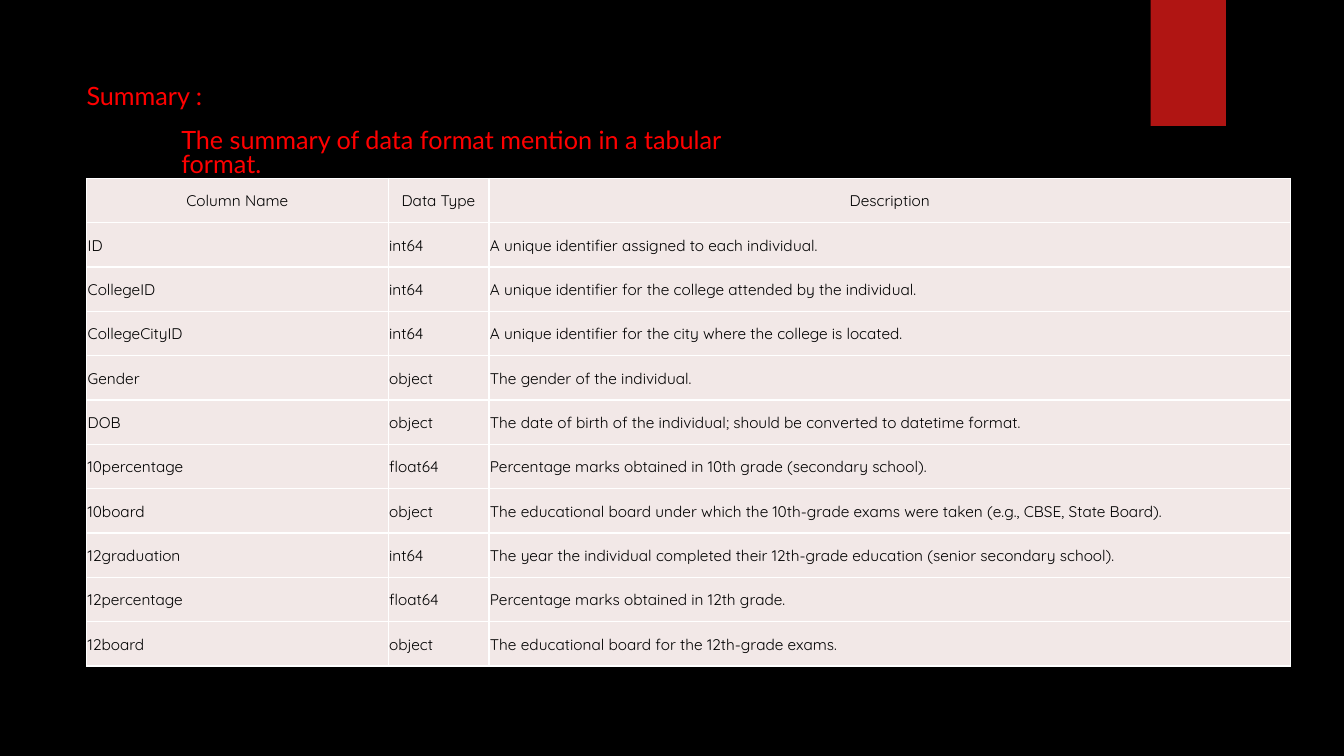
from dataclasses import dataclass
from typing import Any, NamedTuple

from lxml.etree import SubElement
from pptx import Presentation
from pptx.dml.color import RGBColor
from pptx.enum.shapes import MSO_SHAPE as Preset
from pptx.enum.text import MSO_ANCHOR as Anchor, PP_ALIGN as Align
from pptx.oxml.ns import qn
from pptx.util import Inches, Pt


@dataclass(frozen=True)
class Theme:
    background: str = "000000"
    ribbon: str = "B01513"
    heading: str = "FF0000"
    cell: str = "F2E8E7"
    cell_text: str = "000000"
    border: str = "FFFFFF"
    heading_font: str = "Lato"
    table_font: str = "Quicksand"
    heading_size: int = 18
    table_size: int = 11
    border_width: int = 1
    line_spacing: float = 0.8


class Area(NamedTuple):
    left: float
    top: float
    width: float
    height: float


class Heading(NamedTuple):
    text: str
    area: Area


class Field(NamedTuple):
    name: str
    data_type: str
    description: str


THEME = Theme()
SLIDE_WIDTH = Inches(13.33)
SLIDE_HEIGHT = Inches(7.5)

RIBBON_AREA = Area(85.62, 0, 5.6, 16.67)
TABLE_AREA = Area(6.45, 23.6, 89.57, 64.53)
COLUMN_SHARES = (22.43, 7.5, 59.64)

HEADINGS = (
    Heading("Summary :", Area(5.7, 10.67, 83.42, 3.87)),
    Heading(
        "The summary of data format mention in a tabular format.",
        Area(12.75, 16.53, 45.09, 3.87),
    ),
)

FIELDS = (
    Field("Column Name", "Data Type", "Description"),
    Field("ID", "int64", "A unique identifier assigned to each individual."),
    Field("CollegeID", "int64", "A unique identifier for the college attended by the individual."),
    Field("CollegeCityID", "int64", "A unique identifier for the city where the college is located."),
    Field("Gender", "object", "The gender of the individual."),
    Field("DOB", "object", "The date of birth of the individual; should be converted to datetime format."),
    Field("10percentage", "float64", "Percentage marks obtained in 10th grade (secondary school)."),
    Field("10board", "object", "The educational board under which the 10th-grade exams were taken (e.g., CBSE, State Board)."),
    Field("12graduation", "int64", "The year the individual completed their 12th-grade education (senior secondary school)."),
    Field("12percentage", "float64", "Percentage marks obtained in 12th grade."),
    Field("12board", "object", "The educational board for the 12th-grade exams."),
)

CELL_FORMAT = {
    "vertical_anchor": Anchor.MIDDLE,
    "margin_left": Inches(0.01),
    "margin_right": Inches(0.01),
    "margin_top": Inches(0.01),
    "margin_bottom": 0,
}
TABLE_FORMAT = {"first_row": False, "horz_banding": False}


def apply_format(target: Any, values: dict[str, Any]) -> None:
    for name, value in values.items():
        setattr(target, name, value)


def across(share: float) -> int:
    return round(SLIDE_WIDTH * share / 100)


def down(share: float) -> int:
    return round(SLIDE_HEIGHT * share / 100)


def place(area: Area) -> tuple[int, int, int, int]:
    return across(area.left), down(area.top), across(area.width), down(area.height)


def paint(fill: Any, color: str) -> None:
    fill.solid()
    fill.fore_color.rgb = RGBColor.from_string(color)


def write(paragraph: Any, text: str, font: str, size: int, color: str) -> None:
    run = paragraph.add_run()
    run.text = text
    apply_format(run.font, {"name": font, "size": Pt(size), "bold": False})
    run.font.color.rgb = RGBColor.from_string(color)


def draw_ribbon(slide: Any) -> None:
    shape = slide.shapes.add_shape(Preset.RECTANGLE, *place(RIBBON_AREA))
    shape.shadow.inherit = False
    paint(shape.fill, THEME.ribbon)
    shape.line.fill.background()


def draw_heading(slide: Any, heading: Heading) -> None:
    frame = slide.shapes.add_textbox(*place(heading.area)).text_frame
    frame.word_wrap = True
    paragraph = frame.paragraphs[0]
    paragraph.line_spacing = THEME.line_spacing
    write(paragraph, heading.text, THEME.heading_font, THEME.heading_size, THEME.heading)


def draw_borders(cell: Any) -> None:
    properties = cell._tc.get_or_add_tcPr()
    for side in ("a:lnL", "a:lnR", "a:lnT", "a:lnB"):
        line = SubElement(properties, qn(side), w=str(Pt(THEME.border_width)))
        fill = SubElement(line, qn("a:solidFill"))
        SubElement(fill, qn("a:srgbClr"), val=THEME.border)


def draw_cell(cell: Any, text: str, alignment: Align) -> None:
    apply_format(cell, CELL_FORMAT)
    draw_borders(cell)
    paint(cell.fill, THEME.cell)
    paragraph = cell.text_frame.paragraphs[0]
    paragraph.alignment = alignment
    write(paragraph, text, THEME.table_font, THEME.table_size, THEME.cell_text)


def draw_table(slide: Any) -> None:
    table = slide.shapes.add_table(len(FIELDS), len(COLUMN_SHARES), *place(TABLE_AREA)).table
    apply_format(table, TABLE_FORMAT)
    for column, share in zip(table.columns, COLUMN_SHARES):
        column.width = across(share)
    for row_index, field in enumerate(FIELDS):
        alignment = Align.LEFT if row_index else Align.CENTER
        for column_index, text in enumerate(field):
            draw_cell(table.cell(row_index, column_index), text, alignment)


def main() -> None:
    presentation = Presentation()
    apply_format(presentation, {"slide_width": SLIDE_WIDTH, "slide_height": SLIDE_HEIGHT})
    slide = presentation.slides.add_slide(presentation.slide_layouts[6])
    paint(slide.background.fill, THEME.background)
    draw_ribbon(slide)
    for heading in HEADINGS:
        draw_heading(slide, heading)
    draw_table(slide)
    presentation.save("out.pptx")


if __name__ == "__main__":
    main()
